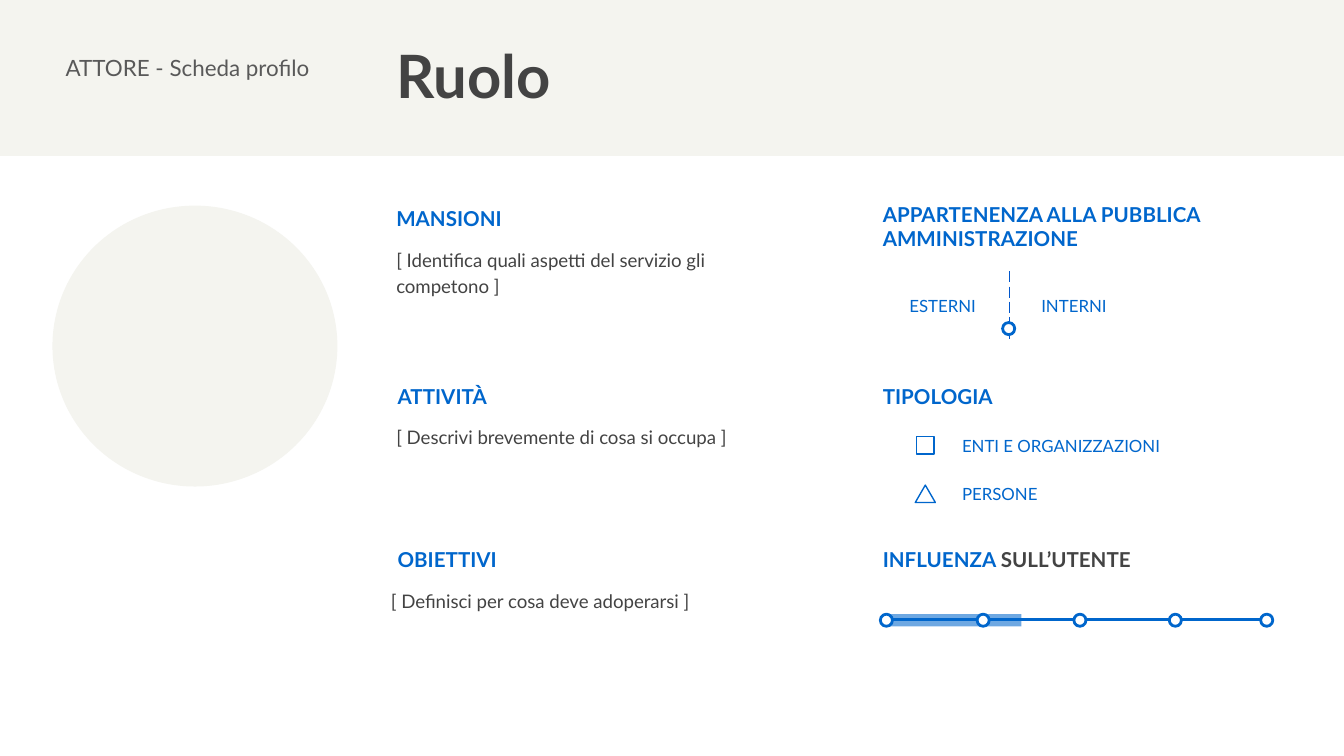
from dataclasses import dataclass

from lxml import etree
from pptx import Presentation
from pptx.dml.color import RGBColor
from pptx.enum.dml import MSO_LINE
from pptx.enum.shapes import MSO_CONNECTOR, MSO_SHAPE
from pptx.enum.text import MSO_ANCHOR, PP_ALIGN
from pptx.oxml.ns import qn
from pptx.util import Inches, Pt

RECTANGLE = MSO_SHAPE.RECTANGLE
OVAL = MSO_SHAPE.OVAL
TRIANGLE = MSO_SHAPE.ISOSCELES_TRIANGLE
STRAIGHT = MSO_CONNECTOR.STRAIGHT
LONG_DASH = MSO_LINE.LONG_DASH
TOP, MIDDLE = MSO_ANCHOR.TOP, MSO_ANCHOR.MIDDLE
LEFT, RIGHT = PP_ALIGN.LEFT, PP_ALIGN.RIGHT


@dataclass(frozen=True)
class Theme:
    font: str = "Lato"
    blue: str = "0066CC"
    divider: str = "0056CB"
    dark: str = "434343"
    gray: str = "595959"
    sand: str = "F4F4EF"
    white: str = "FFFFFF"
    title: float = 32
    label: float = 12
    heading: float = 11
    body: float = 10
    option: float = 9
    thick: float = 1.5
    thin: float = 0.75


def write_text(paragraph, text, font, size, color, bold=False):
    run = paragraph.add_run()
    run.text = text
    run.font.name = font
    run.font.size = Pt(size)
    run.font.bold = bold
    run.font.color.rgb = RGBColor.from_string(color)


class ProfileSlide:
    def __init__(self, slide, theme):
        self.slide = slide
        self.theme = theme

    def text(self, left, top, width, height, parts, size, bold=False,
             anchor=MIDDLE, align=LEFT, spacing=None):
        box = self.slide.shapes.add_textbox(
            Inches(left), Inches(top), Inches(width), Inches(height))
        frame = box.text_frame
        frame.word_wrap = True
        frame.vertical_anchor = anchor
        frame.margin_left = frame.margin_right = Inches(0.1)
        frame.margin_top = frame.margin_bottom = Inches(0.1)
        paragraph = frame.paragraphs[0]
        paragraph.alignment = align
        if spacing:
            paragraph.line_spacing = spacing
        for text, color in parts:
            write_text(paragraph, text, font=self.theme.font, size=size, color=color, bold=bold)

    def heading(self, left, top, width, text, ending=""):
        parts = [(text, self.theme.blue)]
        if ending:
            parts.append((ending, self.theme.dark))
        self.text(left, top, width, 0.31, parts, self.theme.heading, bold=True)

    def body(self, left, top, width, height, text):
        self.text(left, top, width, height, [(text, self.theme.dark)],
                  self.theme.body, anchor=TOP, spacing=1.15)

    def option(self, left, top, width, text, align=LEFT):
        self.text(left, top, width, 0.31, [(text, self.theme.blue)],
                  self.theme.option, align=align)

    def shape(self, kind, left, top, width, height, fill, line_width=None, opacity=None):
        shape = self.slide.shapes.add_shape(
            kind, Inches(left), Inches(top), Inches(width), Inches(height))
        shape.shadow.inherit = False
        shape.fill.solid()
        shape.fill.fore_color.rgb = RGBColor.from_string(fill)
        if opacity:
            color = shape._element.spPr.find(qn("a:solidFill"))[0]
            etree.SubElement(color, qn("a:alpha")).set("val", str(opacity * 1000))
        if line_width:
            shape.line.color.rgb = RGBColor.from_string(self.theme.blue)
            shape.line.width = Pt(line_width)
        else:
            shape.line.fill.background()

    def marker(self, left, top):
        self.shape(OVAL, left, top, 0.09, 0.09, self.theme.white, self.theme.thick)

    def line(self, start, end, color, width, dash=None):
        connector = self.slide.shapes.add_connector(
            STRAIGHT, *[Inches(value) for value in (*start, *end)])
        connector.line.color.rgb = RGBColor.from_string(color)
        connector.line.width = Pt(width)
        if dash:
            connector.line.dash_style = dash
        etree.SubElement(connector._element.spPr, qn("a:effectLst"))


def main():
    presentation = Presentation()
    presentation.slide_width = Inches(10)
    presentation.slide_height = Inches(10) * 9 // 16
    theme = Theme()
    profile = ProfileSlide(presentation.slides.add_slide(presentation.slide_layouts[6]), theme)

    profile.shape(RECTANGLE, -0.01, -0.03, 10.01, 1.19, theme.sand)

    sections = [
        (2.85, 1.47, "MANSIONI", 2.85, 0.84,
         "[ Identifica quali aspetti del servizio gli competono ]"),
        (2.86, 2.79, "ATTIVITÀ", 2.85, 0.92, "[ Descrivi brevemente di cosa si occupa ]"),
        (2.86, 4.01, "OBIETTIVI", 2.81, 0.92, "[ Definisci per cosa deve adoperarsi ]"),
    ]
    for heading_left, top, heading, body_left, height, body in sections:
        profile.heading(heading_left, top, 2.48, heading)
        profile.body(body_left, top + 0.26, 3.28, height, body)

    profile.shape(OVAL, 0.39, 1.53, 2.12, 2.09, theme.sand)
    profile.text(2.85, 0.35, 4.64, 0.41, [("Ruolo", theme.dark)], theme.title, bold=True)
    profile.text(0.39, 0.35, 2.12, 0.31, [("ATTORE - Scheda profilo", theme.gray)], theme.label)

    column = 6.47
    profile.heading(column, 1.53, 3.13, "APPARTENENZA ALLA PUBBLICA AMMINISTRAZIONE")
    profile.heading(column, 4.01, 2.48, "INFLUENZA ", "SULL’UTENTE")
    profile.line((6.63, 4.61), (9.38, 4.61), theme.blue, theme.thick)
    profile.shape(RECTANGLE, 6.59, 4.57, 1.01, 0.09, theme.blue, opacity=57)
    for left in (6.55, 7.27, 7.99, 8.7, 9.38):
        profile.marker(left, 4.57)

    profile.heading(column, 2.79, 2.48, "TIPOLOGIA")
    kinds = [
        (RECTANGLE, 6.82, 0.13, 3.16, "ENTI E ORGANIZZAZIONI"),
        (TRIANGLE, 6.81, 0.15, 3.52, "PERSONE"),
    ]
    for kind, left, width, top, text in kinds:
        profile.option(7.06, top, 2.36, text)
        profile.shape(kind, left, top + 0.09, width, 0.13, theme.white, theme.thin)

    profile.line((7.51, 2.02), (7.51, 2.52), theme.divider, theme.thin, LONG_DASH)
    profile.option(7.65, 2.12, 0.73, "INTERNI")
    profile.option(6.63, 2.12, 0.73, "ESTERNI", RIGHT)
    profile.marker(7.46, 2.4)

    presentation.save("out.pptx")


if __name__ == "__main__":
    main()
